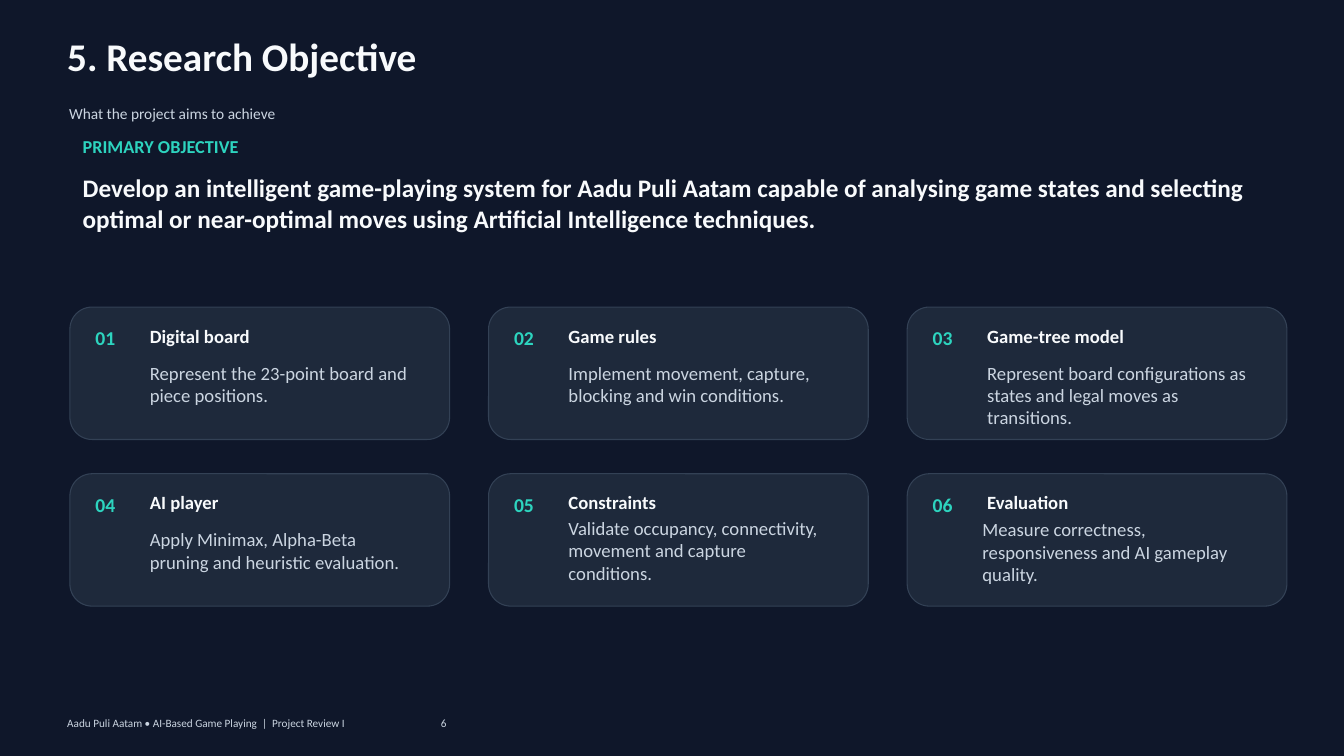
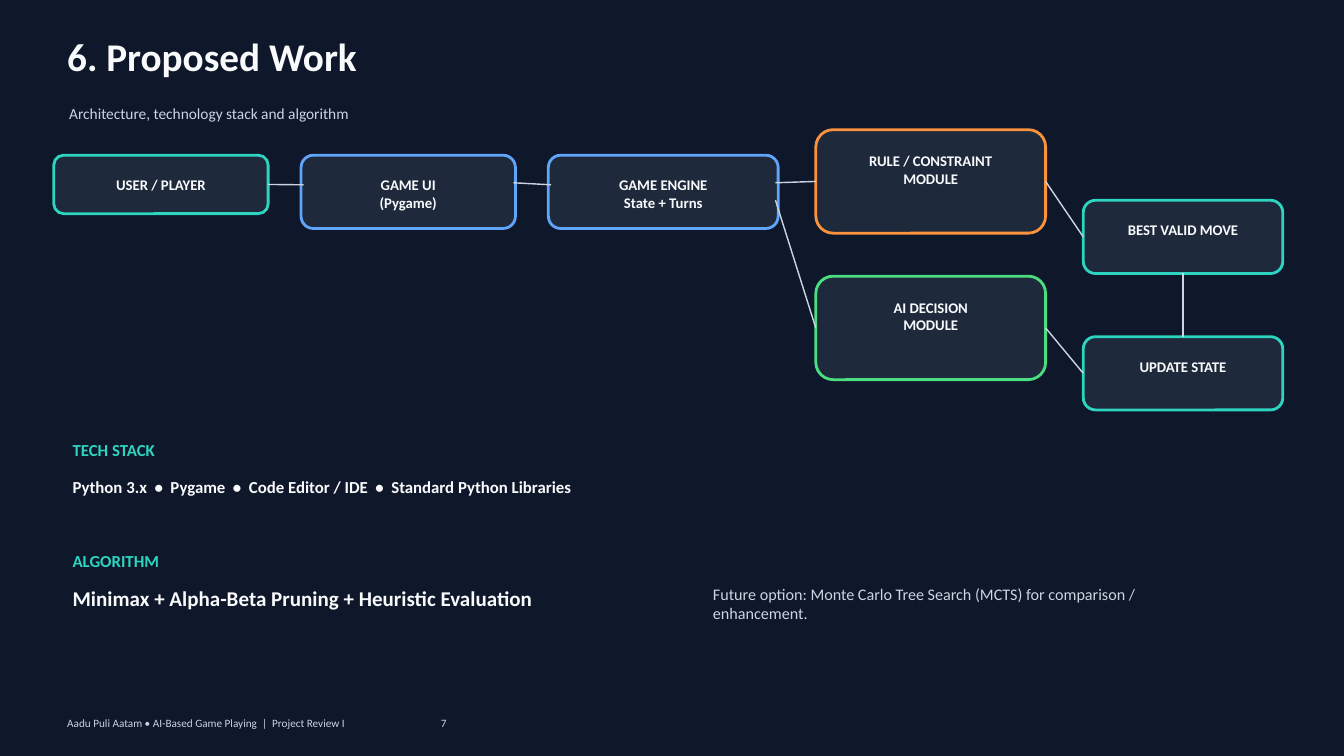
from dataclasses import dataclass

from lxml import etree
from pptx import Presentation
from pptx.dml.color import RGBColor
from pptx.enum.shapes import MSO_CONNECTOR, MSO_SHAPE
from pptx.enum.text import MSO_ANCHOR, MSO_AUTO_SIZE, PP_ALIGN
from pptx.oxml.ns import qn
from pptx.util import Inches, Pt

ROUNDED = MSO_SHAPE.ROUNDED_RECTANGLE
STRAIGHT = MSO_CONNECTOR.STRAIGHT
TOP, MIDDLE_CENTER = MSO_ANCHOR.TOP, PP_ALIGN.CENTER
LEFT = PP_ALIGN.LEFT
SIDES = {"top": 0, "left": 1, "bottom": 2, "right": 3}


@dataclass(frozen=True)
class Theme:
    font: str = "Calibri"
    background: str = "0F172A"
    panel: str = "1E293B"
    panel_edge: str = "334155"
    bright: str = "F8FAFC"
    muted: str = "CBD5E1"
    teal: str = "2DD4BF"
    blue: str = "60A5FA"
    orange: str = "FB923C"
    green: str = "4ADE80"
    title: float = 42
    statement: float = 27
    algorithm: float = 22.5
    number: float = 21
    card: float = 20
    objective_label: float = 19.5
    stack: float = 18
    future: float = 17.25
    subtitle: float = 16.5
    flow: float = 15.75
    footer: float = 12
    line_height: float = 1.2
    corner: float = 0.167


THEME = Theme()

FOOTER = "Aadu Puli Aatam • AI-Based Game Playing  |  Project Review I"
FOOTER_NUMBER_TAB = 5.56

OBJECTIVE_LABEL = "PRIMARY OBJECTIVE"
OBJECTIVE = ("Develop an intelligent game-playing system for Aadu Puli Aatam capable of "
             "analysing game states and selecting optimal or near-optimal moves using "
             "Artificial Intelligence techniques.")

# heading, description, offset of the description from the card corner
GOALS = [
    ("Digital board", "Represent the 23-point board and piece positions.", (1.19, 0.81)),
    ("Game rules", "Implement movement, capture, blocking and win conditions.", (1.19, 0.81)),
    ("Game-tree model", "Represent board configurations as states and legal moves as "
     "transitions.", (1.19, 0.81)),
    ("AI player", "Apply Minimax, Alpha-Beta pruning and heuristic evaluation.",
     (1.19, 0.81)),
    ("Constraints", "Validate occupancy, connectivity, movement and capture conditions.",
     (1.19, 0.64)),
    ("Evaluation", "Measure correctness, responsiveness and AI gameplay quality.",
     (1.12, 0.66)),
]
GOAL_COLUMNS = 3
GOAL_ORIGIN = (1.04, 4.57)
GOAL_PITCH = (6.23, 2.48)
GOAL_SIZE = (5.65, 1.97)

# lines, place, outline
MODULES = {
    "user": (["USER / PLAYER"], (0.8, 2.31, 3.19, 0.87), THEME.teal),
    "ui": (["GAME UI", "(Pygame)"], (4.48, 2.31, 3.19, 1.09), THEME.blue),
    "engine": (["GAME ENGINE", "State + Turns"], (8.16, 2.31, 3.42, 1.09), THEME.blue),
    "rules": (["RULE / CONSTRAINT", "MODULE"], (12.14, 1.93, 3.42, 1.54), THEME.orange),
    "ai": (["AI DECISION", "MODULE"], (12.14, 4.11, 3.42, 1.54), THEME.green),
    "move": (["BEST VALID MOVE"], (16.12, 2.98, 2.97, 1.09), THEME.teal),
    "update": (["UPDATE STATE"], (16.12, 5.01, 2.97, 1.09), THEME.teal),
}

# each end is a (module, side) joint or a free (x, y) point
FLOWS = [
    (("user", "right"), (4.52, 2.75)),
    ((7.64, 2.72), (8.2, 2.75)),
    ((11.54, 2.72), ("rules", "left")),
    ((11.54, 2.98), ("ai", "left")),
    (("rules", "right"), ("move", "left")),
    (("ai", "right"), ("update", "left")),
    (("move", "bottom"), ("update", "top")),
]

# text, place, size, colour, bold
METHOD_NOTES = [
    ("TECH STACK", (1.08, 6.54, 2.05, 0.39), THEME.stack, THEME.teal, True),
    ("Python 3.x  •  Pygame  •  Code Editor / IDE  •  Standard Python Libraries",
     (1.08, 7.09, 17.51, 0.62), THEME.stack, THEME.bright, True),
    ("ALGORITHM", (1.08, 8.19, 2.05, 0.39), THEME.stack, THEME.teal, True),
    ("Minimax + Alpha-Beta Pruning + Heuristic Evaluation",
     (1.08, 8.72, 8.81, 0.56), THEME.algorithm, THEME.bright, True),
    ("Future option: Monte Carlo Tree Search (MCTS) for comparison / enhancement.",
     (10.61, 8.69, 7.61, 0.69), THEME.future, THEME.muted, False),
]


def rgb(code):
    return RGBColor.from_string(code)


def inches(values):
    return [Inches(value) for value in values]


def write(frame, lines, size, color, bold=False, align=LEFT, insets=(0, 0), tab=None):
    """Fill a text frame; insets are (side, top) and tab is one stop, in inches."""
    frame.word_wrap = True
    frame.auto_size = MSO_AUTO_SIZE.NONE
    frame.vertical_anchor = TOP
    frame.margin_left = frame.margin_right = Inches(insets[0])
    frame.margin_top, frame.margin_bottom = Inches(insets[1]), 0
    for index, line in enumerate(lines):
        paragraph = frame.add_paragraph() if index else frame.paragraphs[0]
        paragraph.text = line
        paragraph.alignment = align
        paragraph.line_spacing = Pt(size * THEME.line_height)
        if tab:
            stops = etree.SubElement(paragraph._p.get_or_add_pPr(), qn("a:tabLst"))
            etree.SubElement(stops, qn("a:tab"), pos=str(Inches(tab)), algn="l")
        font = paragraph.font
        font.name, font.size, font.bold = THEME.font, Pt(size), bold
        font.color.rgb = rgb(color)


def add_text(slide, text, place, size, color, bold=False, tab=None):
    box = slide.shapes.add_textbox(*inches(place))
    write(box.text_frame, [text], size, color, bold, tab=tab)


def add_panel(slide, place, edge, edge_width):
    panel = slide.shapes.add_shape(ROUNDED, *inches(place))
    panel.adjustments[0] = THEME.corner
    panel.shadow.inherit = False
    panel.fill.solid()
    panel.fill.fore_color.rgb = rgb(THEME.panel)
    panel.line.color.rgb = rgb(edge)
    panel.line.width = Pt(edge_width)
    return panel


def add_page(prs, title, subtitle, number):
    """Add a slide with the shared title, subtitle and footer."""
    slide = prs.slides.add_slide(prs.slide_layouts.get_by_name("Title Only"))
    heading = slide.shapes.title
    heading.left, heading.top, heading.width, heading.height = inches((1, 0.48, 17.96, 1.04))
    write(heading.text_frame, [title], THEME.title, THEME.bright, True)
    add_text(slide, subtitle, (1.03, 1.55, 17.51, 0.53), THEME.subtitle, THEME.muted)
    add_text(slide, f"{FOOTER}\t{number}", (1, 10.66, 17.81, 0.25), THEME.footer,
             THEME.muted, tab=FOOTER_NUMBER_TAB)
    return slide


def add_goal(slide, index, heading, description, offset):
    row, column = divmod(index, GOAL_COLUMNS)
    x = GOAL_ORIGIN[0] + column * GOAL_PITCH[0]
    y = GOAL_ORIGIN[1] + row * GOAL_PITCH[1]
    add_panel(slide, (x, y, *GOAL_SIZE), THEME.panel_edge, 1.13)
    add_text(slide, f"{index + 1:02}", (x + 0.38, y + 0.28, 0.48, 0.48),
             THEME.number, THEME.teal, True)
    add_text(slide, heading, (x + 1.19, y + 0.26, 3.93, 0.38), THEME.card, THEME.bright, True)
    add_text(slide, description, (x + offset[0], y + offset[1], 3.93, 1.04),
             THEME.card, THEME.muted)


def add_flow(slide, modules, start, end):
    line = slide.shapes.add_connector(STRAIGHT, 0, 0, 0, 0)
    line.line.color.rgb = rgb(THEME.muted)
    line.line.width = Pt(1.5)
    etree.SubElement(line._element.spPr, qn("a:effectLst"))
    if start[0] in modules:
        line.begin_connect(modules[start[0]], SIDES[start[1]])
    else:
        line.begin_x, line.begin_y = inches(start)
    if end[0] in modules:
        line.end_connect(modules[end[0]], SIDES[end[1]])
    else:
        line.end_x, line.end_y = inches(end)


def build_objective(prs):
    slide = add_page(prs, "5. Research Objective", "What the project aims to achieve", 6)
    add_text(slide, OBJECTIVE_LABEL, (1.23, 2.02, 3.55, 0.4),
             THEME.objective_label, THEME.teal, True)
    add_text(slide, OBJECTIVE, (1.23, 2.57, 17.36, 1.09), THEME.statement, THEME.bright, True)
    for index, goal in enumerate(GOALS):
        add_goal(slide, index, *goal)


def build_proposal(prs):
    slide = add_page(prs, "6. Proposed Work",
                     "Architecture, technology stack and algorithm", 7)
    modules = {}
    for key, (lines, place, edge) in MODULES.items():
        modules[key] = add_panel(slide, place, edge, 3)
        write(modules[key].text_frame, lines, THEME.flow, THEME.bright, True,
              MIDDLE_CENTER, insets=(0.24, 0.26))
    for start, end in FLOWS:
        add_flow(slide, modules, start, end)
    for note in METHOD_NOTES:
        add_text(slide, *note)


def main():
    prs = Presentation()
    prs.slide_width, prs.slide_height = inches((20, 11.25))
    backdrop = prs.slide_master.background.fill
    backdrop.solid()
    backdrop.fore_color.rgb = rgb(THEME.background)
    build_objective(prs)
    build_proposal(prs)
    prs.save("out.pptx")


if __name__ == "__main__":
    main()
